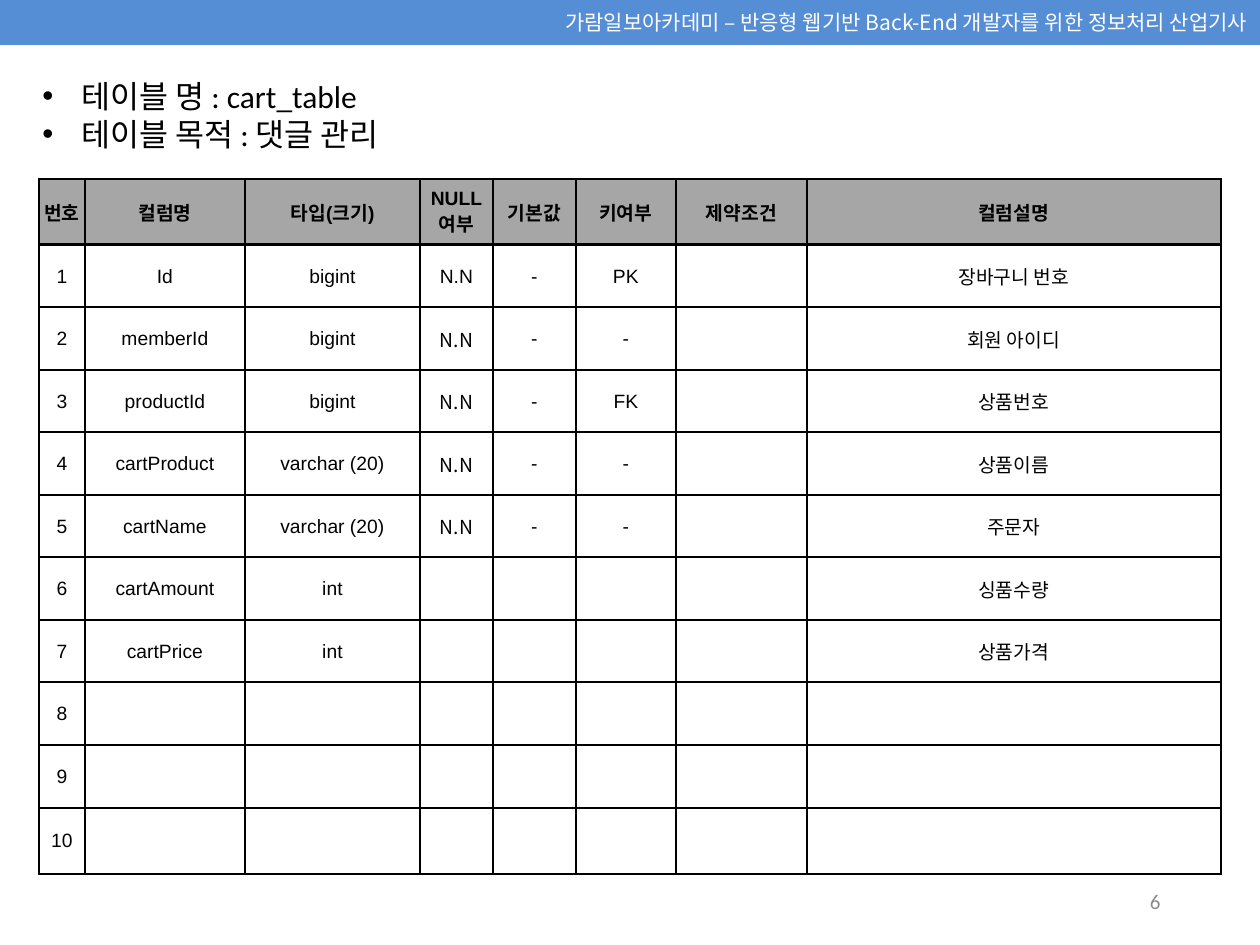
from typing import NamedTuple

from pptx import Presentation
from pptx import util as u
from pptx.dml.color import RGBColor
from pptx.enum import shapes, text
from pptx.oxml import parse_xml
from pptx.oxml.ns import nsdecls

CJK = "Noto Sans CJK KR"
MID = text.MSO_ANCHOR.MIDDLE
RIGHT = text.PP_ALIGN.RIGHT
CENTER = text.PP_ALIGN.CENTER


class Box(NamedTuple):
    x: int
    y: int
    w: int
    h: int


class Col(NamedTuple):
    head: str
    width: int


COLS = [
    Col("번호", 46), Col("컬럼명", 160), Col("타입(크기)", 175), Col("NULL 여부", 73),
    Col("기본값", 83), Col("키여부", 100), Col("제약조건", 131), Col("컬럼설명", 414),
]
ROWS = [
    ("Id", "bigint", "N.N", "-", "PK", "", "장바구니 번호"),
    ("memberId", "bigint", "N.N", "-", "-", "", "회원 아이디"),
    ("productId", "bigint", "N.N", "-", "FK", "", "상품번호"),
    ("cartProduct", "varchar (20)", "N.N", "-", "-", "", "상품이름"),
    ("cartName", "varchar (20)", "N.N", "-", "-", "", "주문자"),
    ("cartAmount", "int", "", "", "", "", "싱품수량"),
    ("cartPrice", "int", "", "", "", "", "상품가격"),
]
COUNT = 10
EDGE = 66
INNER = 563
GRID = Box(39, 179, sum(c.width for c in COLS), 2 * EDGE + INNER)


def px(n: int) -> int:
    return round(n * 914400 / 126)


def place(box: Box) -> list[int]:
    return [px(n) for n in box]


def color(code: str) -> RGBColor:
    return RGBColor.from_string(code)


def write(frame, *lines: str, size: int = 11, face: str = "Arial", ink: str = "000000",
          bold: bool = False, align=None, anchor=None, bullet: bool = False) -> None:
    frame.word_wrap = True
    if anchor is not None:
        frame.vertical_anchor = anchor
    for i, line in enumerate(lines):
        para = frame.add_paragraph() if i else frame.paragraphs[0]
        para.alignment = align
        if bullet:
            props = para._p.get_or_add_pPr()
            props.set("marL", str(px(39)))
            props.set("indent", str(-px(39)))
            props.append(parse_xml(f'<a:buFont {nsdecls("a")} typeface="Arial"/>'))
            props.append(parse_xml(f'<a:buChar {nsdecls("a")} char="•"/>'))
        run = para.add_run()
        run.text = line
        font = run.font
        font.size, font.name, font.bold = u.Pt(size), face, bold
        font.color.rgb = color(ink)
        latin = run._r.rPr.find("{*}latin")
        latin.addnext(parse_xml(f'<a:ea {nsdecls("a")} typeface="{CJK}"/>'))


def border(cell, **widths: int) -> None:
    props = cell._tc.get_or_add_tcPr()
    for i, side in enumerate("LRTB"):
        wide = u.Pt(widths.get(side, 1))
        props.insert(i, parse_xml(
            f'<a:ln{side} {nsdecls("a")} w="{wide}"><a:solidFill>'
            f'<a:srgbClr val="000000"/></a:solidFill></a:ln{side}>'))


def fill_cell(cell, words: str, row: int, face: str) -> None:
    cell.margin_left = cell.margin_right = cell.margin_top = px(1)
    cell.margin_bottom = 0
    cell.vertical_anchor = MID
    if row == 0:
        cell.fill.solid()
        cell.fill.fore_color.rgb = color("A6A6A6")
        border(cell, B=2)
    else:
        cell.fill.background()
        border(cell, T=2 if row == 1 else 1)
    if words:
        write(cell.text_frame, words, face=face, bold=row == 0, align=CENTER)


def add_grid(slide) -> None:
    table = slide.shapes.add_table(COUNT + 1, len(COLS), *place(GRID)).table
    table.first_row = table.horz_banding = False
    for col, item in zip(table.columns, COLS):
        col.width = px(item.width)
    steps = [INNER * i // (COUNT - 1) for i in range(COUNT)]
    tall = [EDGE, *(b - a for a, b in zip(steps, steps[1:])), EDGE]
    blank = ("",) * (len(COLS) - 1)
    body = ROWS + [blank] * (COUNT - len(ROWS))
    lines = [[c.head for c in COLS]]
    lines += [[str(n), *row] for n, row in enumerate(body, 1)]
    for r, line in enumerate(lines):
        table.rows[r].height = px(tall[r])
        for c, words in enumerate(line):
            face = CJK if r > 1 and words == "N.N" else "Arial"
            fill_cell(table.cell(r, c), words, r, face)


def add_text(slide, box: Box, *lines: str, **style) -> None:
    write(slide.shapes.add_textbox(*place(box)).text_frame, *lines, **style)


def main() -> None:
    deck = Presentation()
    deck.slide_width, deck.slide_height = px(1260), px(945)
    slide = deck.slides.add_slide(deck.slide_layouts[6])

    bar = slide.shapes.add_shape(shapes.MSO_SHAPE.RECTANGLE, *place(Box(0, 0, 1260, 45)))
    bar.shadow.inherit = False
    bar.fill.solid()
    bar.fill.fore_color.rgb = color("558ED5")
    bar.line.fill.background()
    write(bar.text_frame, "가람일보아카데미 – 반응형 웹기반 Back-End 개발자를 위한 정보처리 산업기사",
          size=12, face=CJK, ink="FFFFFF", align=RIGHT, anchor=MID)

    add_text(slide, Box(890, 876, 283, 50), "6", size=12, face="Calibri",
             ink="8C8C8C", align=RIGHT, anchor=MID)
    add_text(slide, Box(30, 71, 1196, 87), "테이블 명 : cart_table", "테이블 목적 : 댓글 관리",
             size=18, face="Calibri", bullet=True)
    add_grid(slide)
    deck.save("out.pptx")


if __name__ == "__main__":
    main()
